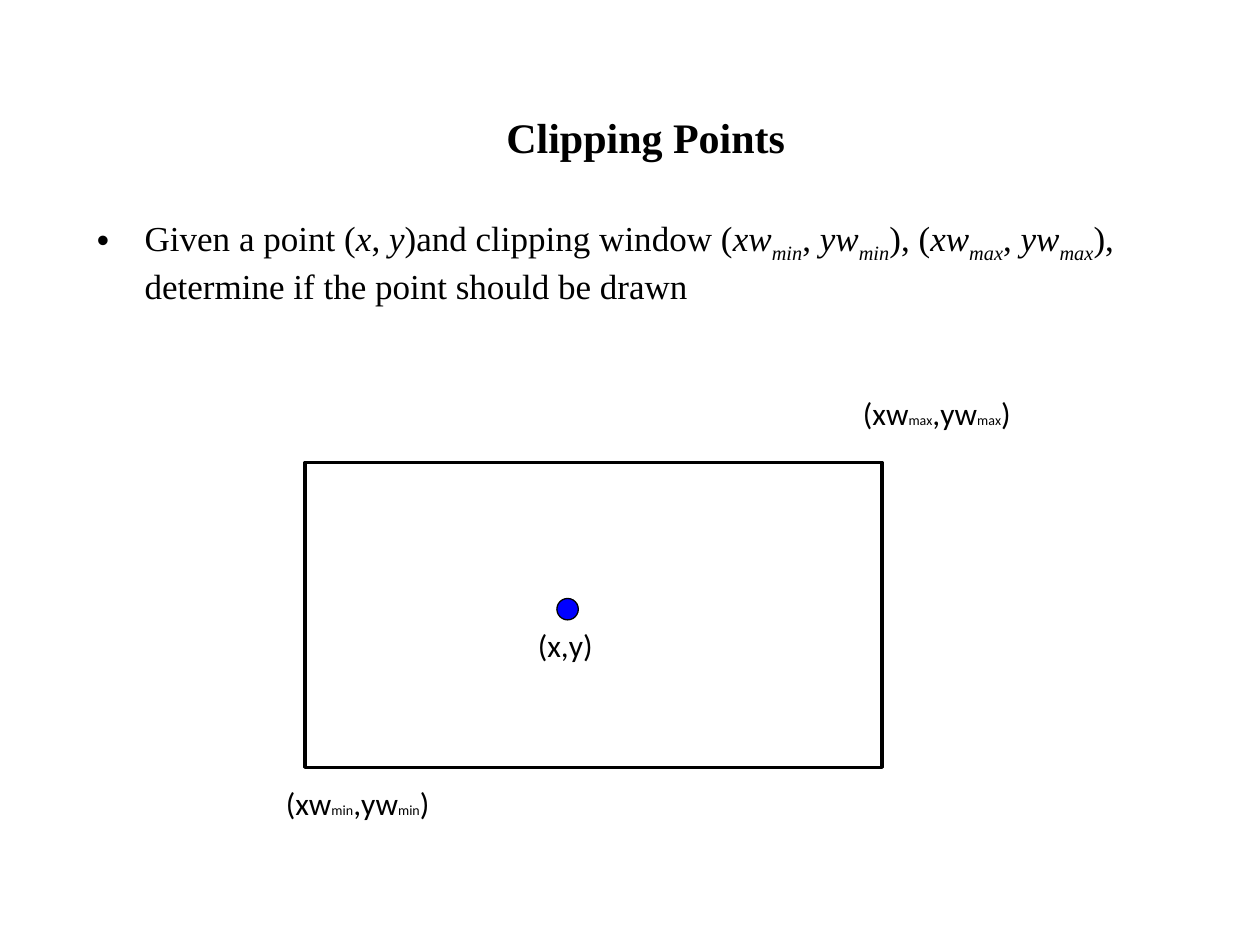
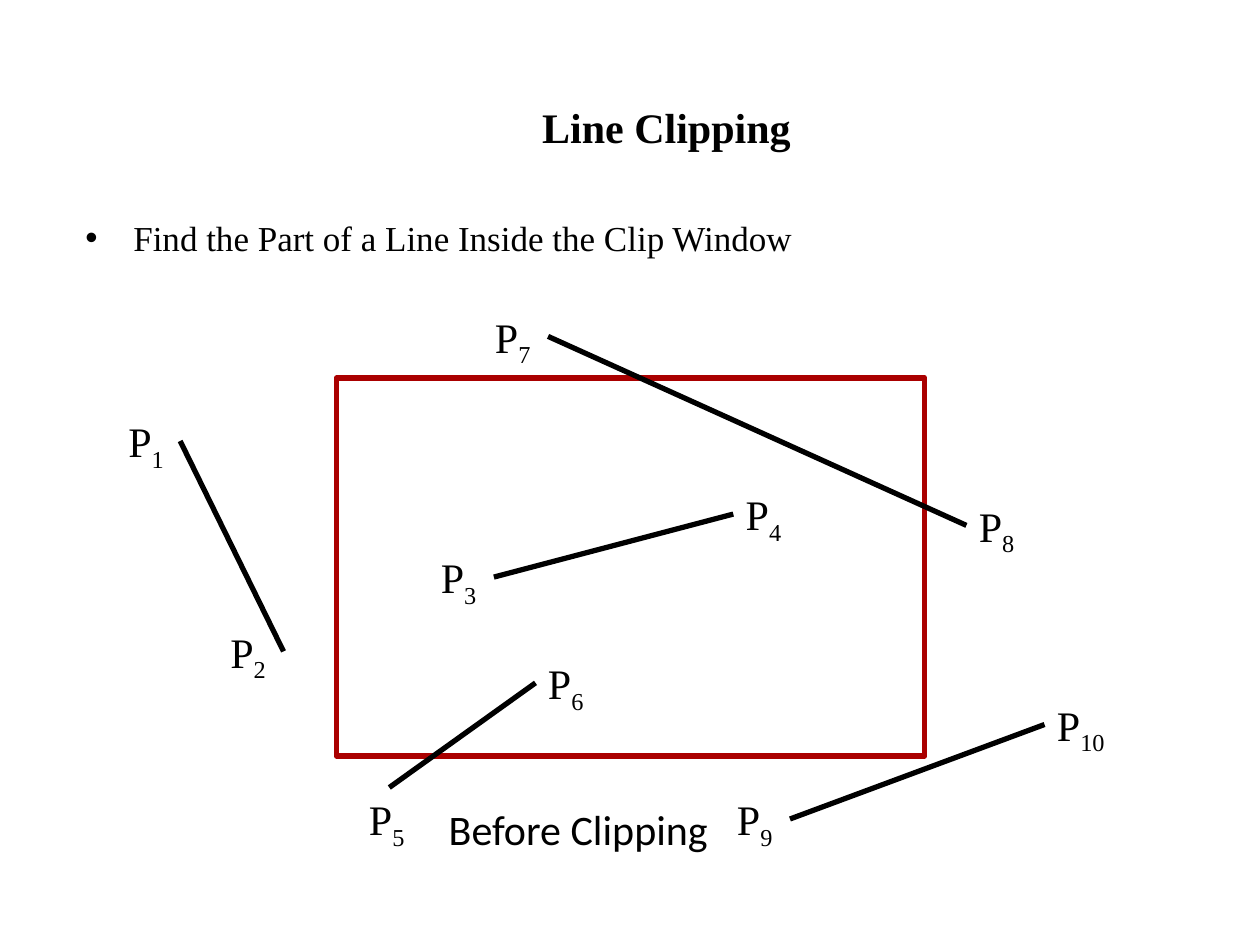
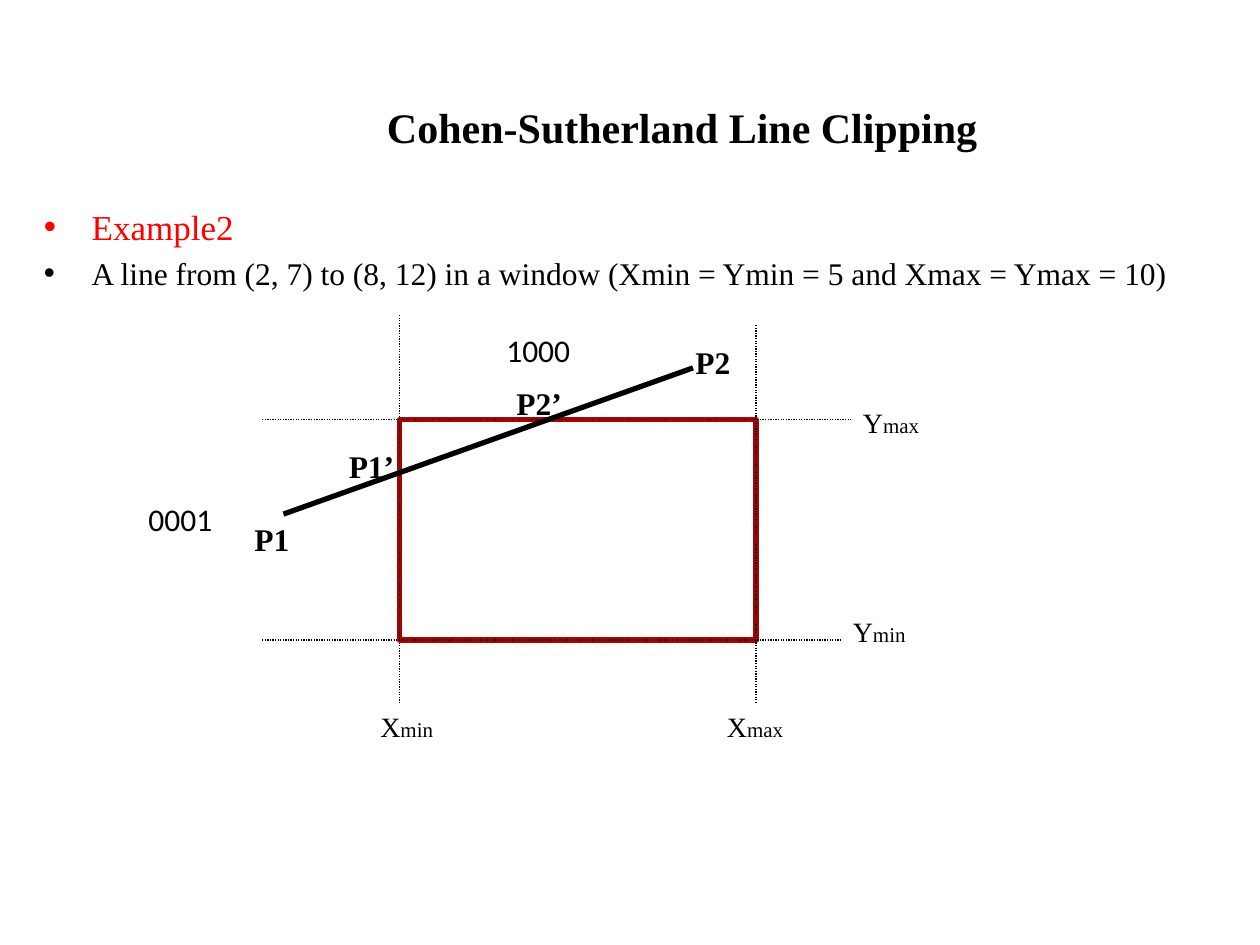
from dataclasses import dataclass
from typing import Optional

from lxml import etree
from pptx import Presentation
from pptx.dml.color import RGBColor
from pptx.enum import dml, shapes, text
from pptx.oxml import ns
from pptx.util import Inches, Pt

BLACK = RGBColor(0x00, 0x00, 0x00)
RED = RGBColor(0xFF, 0x00, 0x00)
DARK_RED = RGBColor(0xAA, 0x00, 0x00)
BLUE = RGBColor(0x00, 0x00, 0xFF)
SERIF = "Times New Roman"
SANS = "Calibri"
BULLET_INDENT = Inches(0.38)


@dataclass(frozen=True)
class Run:
    words: str
    size: Optional[float] = None
    italic: bool = False
    subscript: bool = False


@dataclass(frozen=True)
class Paragraph:
    runs: tuple[Run, ...]
    size: float = 20
    color: RGBColor = BLACK
    align: text.PP_ALIGN = text.PP_ALIGN.LEFT


@dataclass(frozen=True)
class Box:
    left: float
    top: float
    width: float
    height: float

    def lengths(self) -> tuple:
        return tuple(map(Inches, (self.left, self.top, self.width, self.height)))


@dataclass(frozen=True)
class Segment:
    x1: float
    y1: float
    x2: float
    y2: float


@dataclass(frozen=True)
class Label:
    main: str
    small: str
    left: float
    top: float
    width: float


def add_bullet(paragraph) -> None:
    properties = paragraph._p.get_or_add_pPr()
    properties.set("marL", str(BULLET_INDENT))
    properties.set("indent", str(-BULLET_INDENT))
    etree.SubElement(properties, ns.qn("a:buFont")).set("typeface", "Arial")
    etree.SubElement(properties, ns.qn("a:buChar")).set("char", "•")


def add_text(slide, box: Box, paragraphs: list[Paragraph], *, font: str = SERIF,
             bold: bool = False, bullets: bool = False, wrap: bool = False,
             grow: bool = True, anchor=text.MSO_ANCHOR.TOP) -> None:
    frame = slide.shapes.add_textbox(*box.lengths()).text_frame
    frame.word_wrap = wrap
    frame.auto_size = (text.MSO_AUTO_SIZE.SHAPE_TO_FIT_TEXT if grow
                       else text.MSO_AUTO_SIZE.NONE)
    frame.vertical_anchor = anchor
    for index, content in enumerate(paragraphs):
        paragraph = frame.add_paragraph() if index else frame.paragraphs[0]
        paragraph.alignment = content.align
        if bullets:
            add_bullet(paragraph)
        if index:
            paragraph.space_before = Pt(0.2 * content.size)
        for part in content.runs:
            run = paragraph.add_run()
            run.text = part.words
            run.font.name = font
            run.font.size = Pt(part.size or content.size)
            run.font.bold = bold
            run.font.italic = part.italic
            run.font.color.rgb = content.color
            if part.subscript:
                run.font._element.set("baseline", "-25000")


def add_line_of_text(slide, words: str, box: Box, *, size: float = 18,
                     align=text.PP_ALIGN.LEFT, **style) -> None:
    add_text(slide, box, [Paragraph((Run(words),), size, align=align)], **style)


def add_title(slide, words: str, box: Box) -> None:
    add_line_of_text(slide, words, box, size=24, align=text.PP_ALIGN.CENTER,
                     bold=True, wrap=True, grow=False,
                     anchor=text.MSO_ANCHOR.MIDDLE)


def add_body(slide, box: Box, paragraphs: list[Paragraph]) -> None:
    add_text(slide, box, paragraphs, bullets=True, wrap=True, grow=False)


def add_outline(slide, box: Box, color: RGBColor, weight: float,
                kind=shapes.MSO_SHAPE.RECTANGLE,
                fill: Optional[RGBColor] = None) -> None:
    shape = slide.shapes.add_shape(kind, *box.lengths())
    shape.shadow.inherit = False
    if fill is None:
        shape.fill.background()
    else:
        shape.fill.solid()
        shape.fill.fore_color.rgb = fill
    shape.line.color.rgb = color
    shape.line.width = Pt(weight)


def add_segment(slide, segment: Segment, weight: float = 3, dash=None) -> None:
    line = slide.shapes.add_connector(
        shapes.MSO_CONNECTOR.STRAIGHT, Inches(segment.x1), Inches(segment.y1),
        Inches(segment.x2), Inches(segment.y2))
    etree.SubElement(line._element.spPr, ns.qn("a:effectLst"))
    line.line.color.rgb = BLACK
    line.line.width = Pt(weight)
    if dash is not None:
        line.line.dash_style = dash


def corner_runs(suffix: str) -> tuple[Run, ...]:
    """Italic window corner coordinates, such as xw_min, yw_min."""
    subscript = Run(suffix, italic=True, subscript=True)
    return (Run("xw", italic=True), subscript, Run(", "),
            Run("yw", italic=True), subscript)


def build_clipping_points(slide) -> None:
    add_title(slide, "Clipping Points", Box(1.25, 0.75, 7.75, 0.67))
    task = (Run("Given a point ("), Run("x", italic=True), Run(", "),
            Run("y", italic=True), Run(")and clipping window ("),
            *corner_runs("min"), Run("), ("), *corner_runs("max"),
            Run("), determine if the point should be drawn"))
    add_body(slide, Box(0.67, 1.67, 9, 4.92), [Paragraph(task)])

    for suffix, left, top in (("min", 2.17, 6.17), ("max", 6.75, 3.08)):
        small = Run(suffix, size=8)
        corner = (Run("(xw"), small, Run(",yw"), small, Run(")"))
        add_text(slide, Box(left, top, 2.5, 0.4), [Paragraph(corner, 18)],
                 font=SANS, wrap=True)

    add_outline(slide, Box(4.42, 4.75, 0.17, 0.17), BLACK, 0.75,
                kind=shapes.MSO_SHAPE.OVAL, fill=BLUE)
    add_line_of_text(slide, "(x,y)", Box(4.17, 4.92, 2.5, 0.5),
                     font=SANS, wrap=True)
    add_outline(slide, Box(2.42, 3.67, 4.58, 2.42), BLACK, 2)


def build_line_clipping(slide) -> None:
    add_title(slide, "Line Clipping", Box(1.08, 0.67, 8.42, 0.67))
    add_body(slide, Box(0.58, 1.67, 9, 5.17),
             [Paragraph((Run("Find the Part of a Line Inside the Clip Window"),))])
    add_outline(slide, Box(2.67, 3, 4.67, 3), DARK_RED, 3)

    for segment in (Segment(1.43, 3.5, 2.25, 5.17),
                    Segment(5.82, 4.08, 3.92, 4.58),
                    Segment(4.35, 2.67, 7.67, 4.17),
                    Segment(8.29, 5.75, 6.27, 6.5),
                    Segment(4.25, 5.42, 3.09, 6.25)):
        add_segment(slide, segment)

    endpoints = ((0.92, 3.25), (1.73, 4.92), (3.4, 4.33), (5.82, 3.83),
                 (2.83, 6.25), (4.25, 5.17), (3.83, 2.42), (7.67, 3.92),
                 (5.75, 6.25), (8.29, 5.5))
    for number, (left, top) in enumerate(endpoints, start=1):
        width = 0.52 if number < 10 else 0.63
        name = (Run("P"), Run(str(number), subscript=True))
        add_text(slide, Box(left, top, width, 0.5), [Paragraph(name, 24)])

    add_line_of_text(slide, "Before Clipping", Box(3.25, 6.33, 2.68, 0.5),
                     size=24, font=SANS, align=text.PP_ALIGN.CENTER)


def build_cohen_sutherland(slide) -> None:
    add_title(slide, "Cohen-Sutherland Line Clipping", Box(1.08, 0.67, 8.67, 0.67))
    problem = ("A line from (2, 7) to (8, 12) in a window "
               "(Xmin = Ymin = 5 and Xmax = Ymax = 10)")
    add_body(slide, Box(0.25, 1.58, 9.5, 4.92), [
        Paragraph((Run("Example2"),), color=RED),
        Paragraph((Run(problem),), 18, align=text.PP_ALIGN.JUSTIFY),
    ])

    x_min, x_max, y_max, y_min = 3.17, 6, 3.33, 5.08
    add_outline(slide, Box(x_min, y_max, x_max - x_min, y_min - y_max),
                DARK_RED, 3)
    add_segment(slide, Segment(2.25, 4.08, 5.5, 2.92))
    for boundary in (Segment(x_min, 2.5, x_min, 5.58),
                     Segment(2.08, y_max, 6.75, y_max),
                     Segment(x_max, 2.58, x_max, 5.58),
                     Segment(2.08, y_min, 6.67, y_min)):
        add_segment(slide, boundary, 0.75, dml.MSO_LINE.ROUND_DOT)

    for limit in (Label("X", "min", 2.92, 5.58, 0.63),
                  Label("X", "max", 5.67, 5.58, 0.65),
                  Label("Y", "min", 6.67, 4.83, 0.63),
                  Label("Y", "max", 6.75, 3.17, 0.65)):
        add_text(slide, Box(limit.left, limit.top, limit.width, 0.37),
                 [Paragraph((Run(limit.main), Run(limit.small, size=12)), 16)])

    for name, left, top, width in (("P1", 1.92, 4.08, 0.48),
                                   ("P2", 5.42, 2.67, 0.48),
                                   ("P1’", 2.67, 3.5, 0.57),
                                   ("P2’", 4, 3, 0.57)):
        add_line_of_text(slide, name, Box(left, top, width, 0.4), bold=True)
    for region_code, left, top in (("0001", 1.08, 3.92), ("1000", 3.92, 2.58)):
        add_line_of_text(slide, region_code, Box(left, top, 0.72, 0.4), font=SANS)


def main() -> None:
    deck = Presentation()
    deck.slide_width, deck.slide_height = Inches(10), Inches(7.5)
    blank = deck.slide_layouts[6]
    for build in (build_clipping_points, build_line_clipping,
                  build_cohen_sutherland):
        build(deck.slides.add_slide(blank))
    deck.save("out.pptx")


if __name__ == "__main__":
    main()
